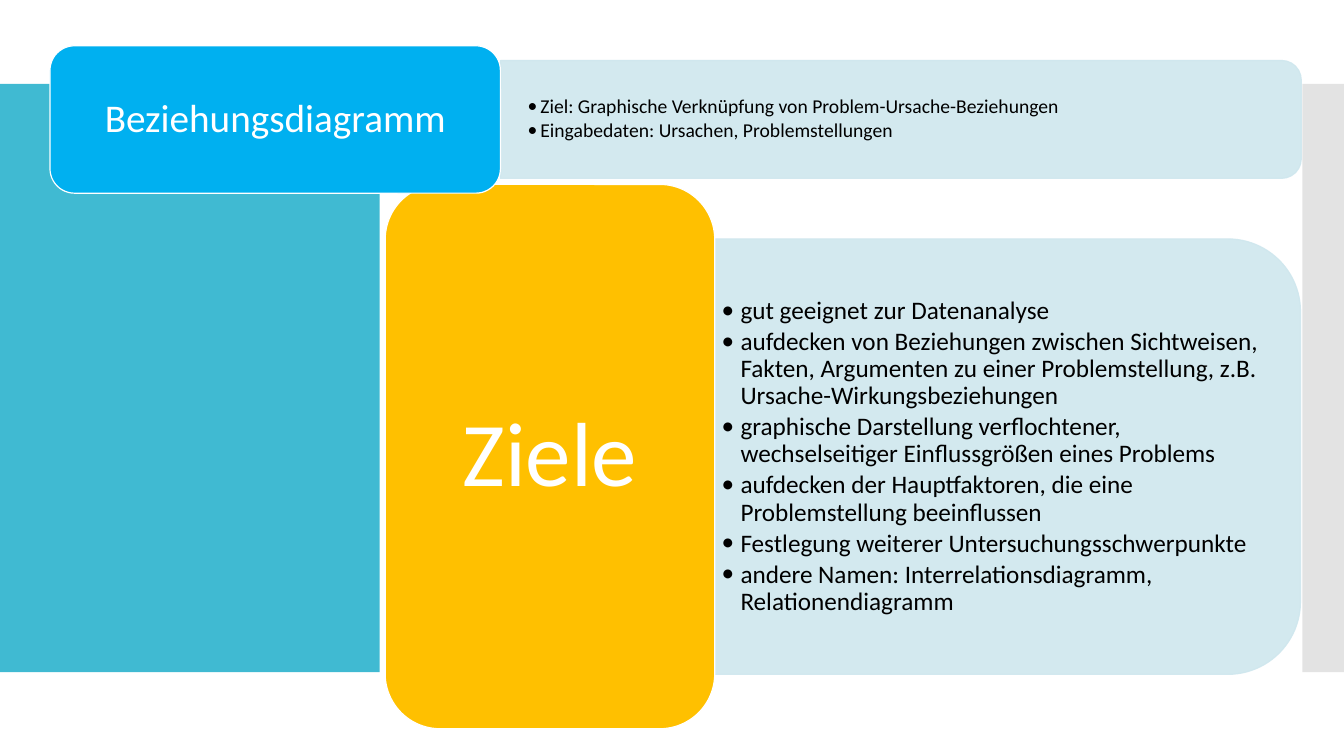
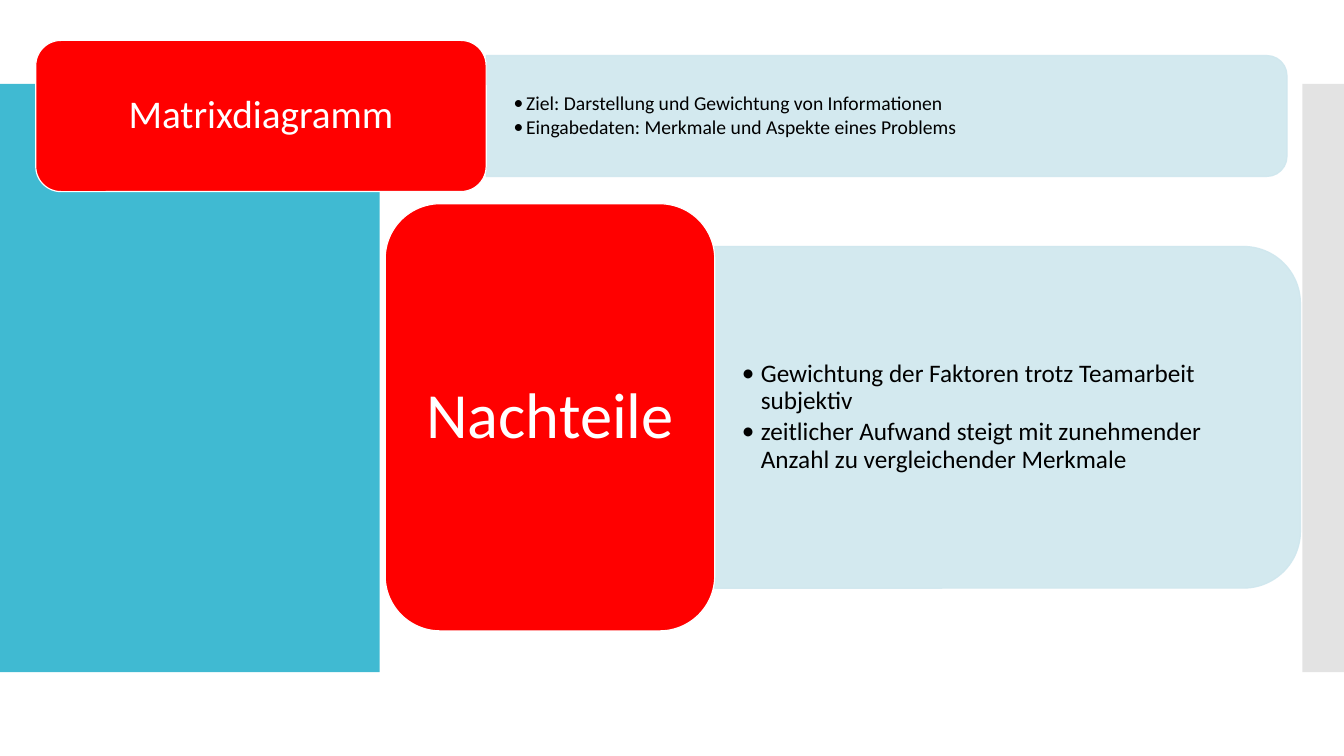
import collections
import pptx
import pptx.util
import pptx.dml.color
import pptx.enum.shapes
import pptx.enum.text
import pptx.oxml.ns

Pt = pptx.util.Pt
RGB = pptx.dml.color.RGBColor
SHAPE = pptx.enum.shapes.MSO_SHAPE
CENTER = pptx.enum.text.PP_ALIGN.CENTER
MIDDLE = pptx.enum.text.MSO_ANCHOR.MIDDLE
qn = pptx.oxml.ns.qn

TEAL = RGB(0x40, 0xBA, 0xD2)
GREY = RGB(0xC8, 0xC8, 0xC8)
PALE = RGB(0xCF, 0xE7, 0xEE)
BLUE = RGB(0x00, 0xB0, 0xF0)
GOLD = RGB(0xFF, 0xC0, 0x00)
RED = RGB(0xFF, 0x00, 0x00)
WHITE = RGB(0xFF, 0xFF, 0xFF)
BLACK = RGB(0x00, 0x00, 0x00)
FONT = "Calibri"

deck = pptx.Presentation()
deck.slide_width = pptx.util.Inches(13.33)
deck.slide_height = pptx.util.Inches(7.5)
COL = deck.slide_width / 100   # one percent of the width
ROW = deck.slide_height / 100  # one percent of the height

# Side bands: left, width (columns), colour, opacity
BAND_TOP, BAND_HIGH = 11.1 * ROW, 77.8 * ROW
BANDS = [(0, 28.26, TEAL, 100), (96.9, 3.1, GREY, 50)]

# Every strip is a label with a panel of bullets to its right
SHARE = 0.36        # label width as a share of the strip
TALL = 1.25         # label height against panel height
CURVE = 0.29 / 6    # text inset for round corners, as a share of the height
PAD = 0.3           # label margin against its font size
GAP = 0.15          # space after a bullet against its font size
WIDE_PAD, SLIM_PAD = 19.5, 5  # panel margins in points

# Two kinds of strip: width (columns), bullet size and indent (points)
Kind = collections.namedtuple("Kind", "span size dent")
HEAD = Kind(93.1, 14, 9)
BODY = Kind(68.1, 18, 13.5)
BODY_LEFT = 28.66

# left in columns; mid (centre line) and high (panel height) in rows
Strip = collections.namedtuple(
    "Strip", "kind left mid high color name size pad items")

# Strips of each slide, from back to front
slides = [
    [
        Strip(BODY, BODY_LEFT, 60.4, 57.6, GOLD, "Ziele", 65, SLIM_PAD, [
            "gut geeignet zur Datenanalyse",
            "aufdecken von Beziehungen zwischen Sichtweisen, Fakten, "
            "Argumenten zu einer Problemstellung, z.B. "
            "Ursache-Wirkungsbeziehungen",
            "graphische Darstellung verflochtener, wechselseitiger "
            "Einflussgrößen eines Problems",
            "aufdecken der Hauptfaktoren, die eine Problemstellung "
            "beeinflussen",
            "Festlegung weiterer Untersuchungsschwerpunkte",
            "andere Namen: Interrelationsdiagramm, Relationendiagramm",
        ]),
        Strip(HEAD, 3.72, 15.8, 15.6, BLUE, "Beziehungsdiagramm", 28,
              WIDE_PAD, [
                  "Ziel: Graphische Verknüpfung von "
                  "Problem-Ursache-Beziehungen",
                  "Eingabedaten: Ursachen, Problemstellungen",
              ]),
    ],
    [
        Strip(HEAD, 2.66, 15.35, 16, RED, "Matrixdiagramm", 28, WIDE_PAD, [
            "Ziel: Darstellung und Gewichtung von Informationen",
            "Eingabedaten: Merkmale und Aspekte eines Problems",
        ]),
        Strip(BODY, BODY_LEFT, 55.2, 45.2, RED, "Nachteile", 46, WIDE_PAD, [
            "Gewichtung der Faktoren trotz Teamarbeit subjektiv",
            "zeitlicher Aufwand steigt mit zunehmender Anzahl zu "
            "vergleichender Merkmale",
        ]),
    ],
]


def draw(slide, form, left, top, wide, high, fill, line=None, alpha=100):
    """Add a filled shape; alpha is its opacity in percent."""
    shape = slide.shapes.add_shape(
        form, round(left), round(top), round(wide), round(high))
    shape.shadow.inherit = False
    shape.fill.solid()
    shape.fill.fore_color.rgb = fill
    if line is None:
        shape.line.fill.background()
    else:
        shape.line.color.rgb = line
        shape.line.width = Pt(0.85)
    if alpha < 100:
        for tone in shape.element.spPr.iter(qn("a:srgbClr")):
            tone.append(tone.makeelement(
                qn("a:alpha"), {"val": str(alpha * 1000)}))
    return shape


def write(shape, lines, size, color, pad):
    """Fill a shape with paragraphs, centred from top to bottom."""
    frame = shape.text_frame
    frame.text = "\n".join(lines)
    frame.word_wrap = True
    frame.vertical_anchor = MIDDLE
    frame.margin_left = frame.margin_right = Pt(pad)
    frame.margin_top = frame.margin_bottom = Pt(pad / 2)
    for para in frame.paragraphs:
        para.line_spacing = 0.9
        para.font.size = Pt(size)
        para.font.name = FONT
        para.font.color.rgb = color
    return frame.paragraphs


for strips in slides:
    slide = deck.slides.add_slide(deck.slide_layouts[6])

    # Side bands
    for left, wide, color, alpha in BANDS:
        draw(slide, SHAPE.RECTANGLE, left * COL, BAND_TOP, wide * COL,
             BAND_HIGH, color, alpha=alpha)

    for strip in strips:
        kind = strip.kind
        left, span = strip.left * COL, kind.span * COL
        mid, high = strip.mid * ROW, strip.high * ROW
        edge = left + SHARE * span  # where label and panel meet
        wide = (1 - SHARE) * span

        # Panel: drawn upright about its centre, then turned to the right
        panel = draw(slide, SHAPE.ROUND_2_SAME_RECTANGLE,
                     edge + (wide - high) / 2, mid - wide / 2, high, wide,
                     PALE, PALE, 90)
        panel.rotation = 90

        # Bullets: a box of their own, so that the text stays level
        inset = CURVE * high
        note = slide.shapes.add_textbox(
            round(edge), round(mid - high / 2 + inset),
            round(wide - inset), round(high - 2 * inset))
        for para in write(note, strip.items, kind.size, BLACK, strip.pad):
            para.space_after = Pt(GAP * kind.size)
            props = para._p.get_or_add_pPr()
            props.set("marL", str(Pt(kind.dent)))
            props.set("indent", str(-Pt(kind.dent)))
            mark = props.makeelement(qn("a:buChar"), {"char": "•"})
            props.find(qn("a:defRPr")).addprevious(mark)
            face = props.makeelement(qn("a:buFont"), {"typeface": FONT})
            mark.addprevious(face)

        # Label
        tall = TALL * high
        label = draw(slide, SHAPE.ROUNDED_RECTANGLE, left, mid - tall / 2,
                     SHARE * span, tall, strip.color, WHITE)
        for para in write(label, [strip.name], strip.size, WHITE,
                          PAD * strip.size):
            para.alignment = CENTER

deck.save("out.pptx")
